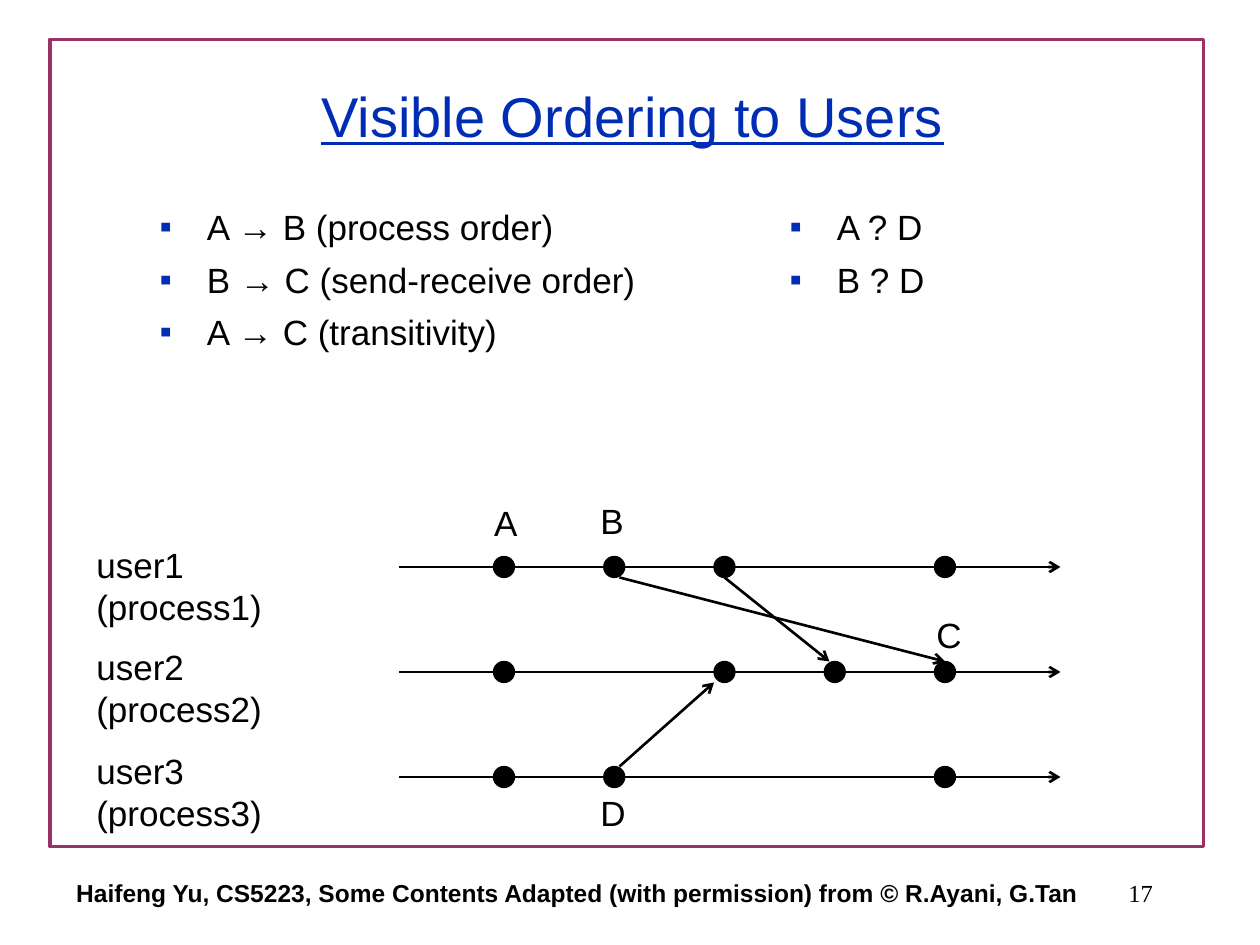
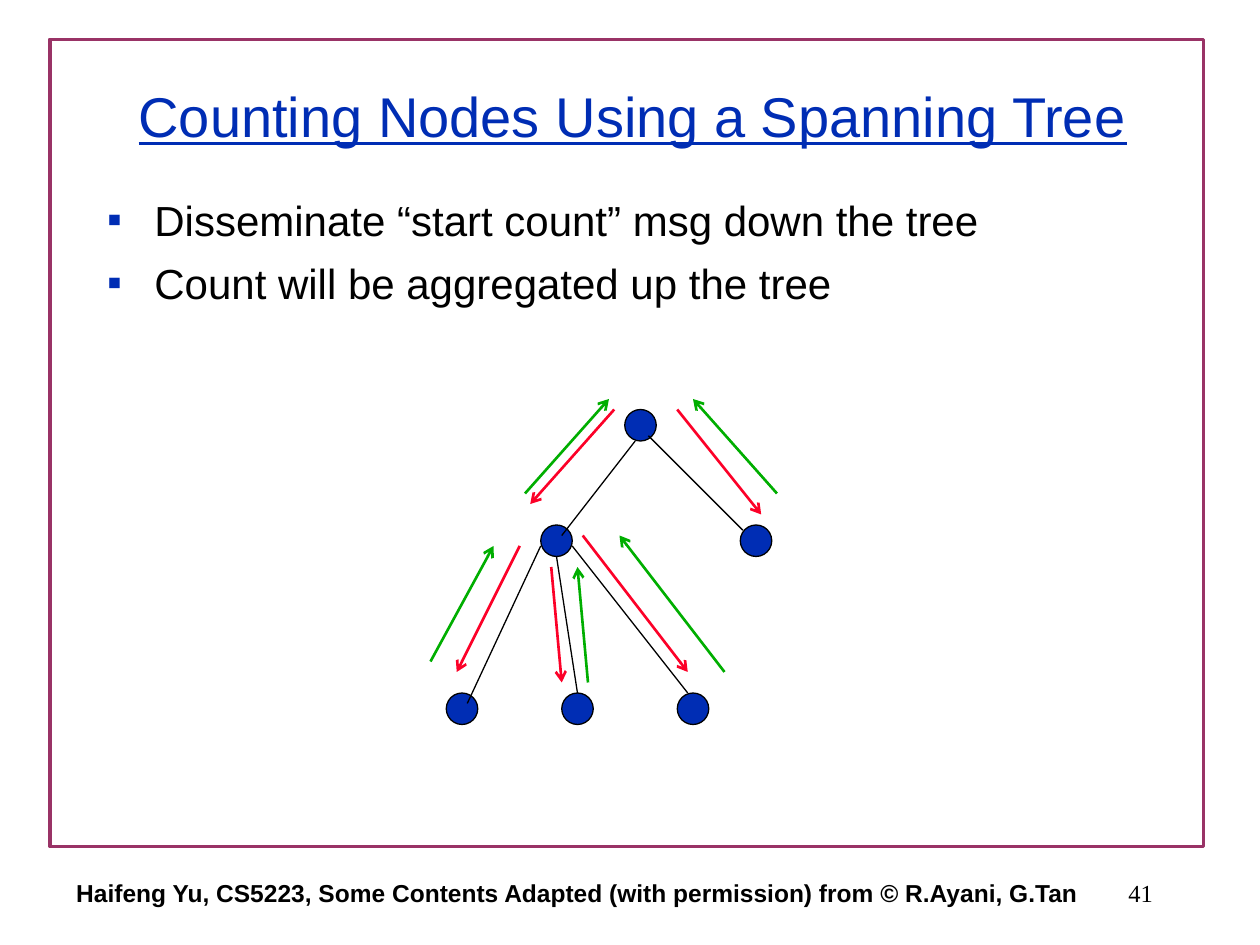
"""Builds two lecture slides on event ordering and tree counting."""
from lxml.etree import SubElement
from pptx import Presentation
from pptx.dml.color import RGBColor
from pptx.enum.shapes import MSO_CONNECTOR, MSO_SHAPE
from pptx.enum.text import MSO_ANCHOR, MSO_AUTO_SIZE, PP_ALIGN
from pptx.oxml.ns import qn
from pptx.util import Emu, Pt

BLACK, BLUE, PLUM = "000000", "002DB4", "993366"
RED, GREEN = "FC0128", "00AE00"
ARIAL, TIMES = "Arial", "Times New Roman"
CREDIT = "Haifeng Yu, CS5223, Some Contents Adapted (with permission) from © R.Ayani, G.Tan"


def px(num):
    return Emu(num * 9525)


def hue(code):
    return RGBColor.from_string(code)


class Deck:
    def __init__(self):
        self.file = Presentation()
        self.file.slide_width, self.file.slide_height = px(960), px(720)
        self.slide = None

    def start(self, layout, title, page):
        self.slide = self.file.slides.add_slide(self.file.slide_layouts[layout])
        self.frame()
        self.label(str(page), (688, 656, 200, 48), 14, TIMES, PP_ALIGN.RIGHT)
        self.label(CREDIT, (32, 656, 816, 48), 14, ARIAL, PP_ALIGN.CENTER, bold=True)
        text = self.place(self.slide.shapes.title, (74, 44, 816, 88))
        text.vertical_anchor = MSO_ANCHOR.MIDDLE
        para = text.paragraphs[0]
        para.alignment = PP_ALIGN.CENTER
        self.run(para, title, 32, color=BLUE).underline = True

    def frame(self):
        box = self.slide.shapes.add_shape(
            MSO_SHAPE.RECTANGLE, *map(px, (38, 30, 879, 615)))
        box.shadow.inherit = False
        box.fill.background()
        box.line.color.rgb, box.line.width = hue(PLUM), Pt(2)

    def place(self, shape, area):
        shape.left, shape.top, shape.width, shape.height = map(px, area)
        text = shape.text_frame
        text.auto_size = MSO_AUTO_SIZE.NONE
        text.word_wrap = True
        return text

    def run(self, para, words, size, font=ARIAL, color=BLACK):
        run = para.add_run()
        run.text = words
        run.font.size, run.font.name = Pt(size), font
        run.font.color.rgb = hue(color)
        return run.font

    def space(self, para):
        props = para._p.get_or_add_pPr()
        gap = SubElement(props, qn("a:spcBef"))
        SubElement(gap, qn("a:spcPct"), val="30000")
        return props

    def label(self, words, area, size, font, align, bold=False):
        text = self.place(self.slide.shapes.add_textbox(0, 0, 0, 0), area)
        text.word_wrap = False
        text.vertical_anchor = MSO_ANCHOR.MIDDLE
        para = text.paragraphs[0]
        para.alignment = align
        self.run(para, words, size, font).bold = bold

    def note(self, words, left, top, width=38):
        box = self.slide.shapes.add_textbox(0, 0, 0, 0)
        text = self.place(box, (left, top, width, 41))
        para = text.paragraphs[0]
        self.space(para)
        self.run(para, words, 20)

    def list(self, slot, items, area, size):
        text = self.place(self.slide.placeholders[slot], area)
        for num, item in enumerate(items):
            para = text.add_paragraph() if num else text.paragraphs[0]
            props = self.space(para)
            props.set("marL", str(px(36)))
            props.set("indent", str(px(-36)))
            tint = SubElement(props, qn("a:buClr"))
            SubElement(tint, qn("a:srgbClr"), val=BLUE)
            SubElement(props, qn("a:buFont"), typeface=ARIAL)
            SubElement(props, qn("a:buChar"), char="▪")
            self.run(para, item, size)

    def dot(self, x, y, size, color):
        half = size // 2
        dot = self.slide.shapes.add_shape(
            MSO_SHAPE.OVAL, *map(px, (x - half, y - half, size, size)))
        dot.shadow.inherit = False
        dot.fill.solid()
        dot.fill.fore_color.rgb = hue(color)
        dot.line.color.rgb, dot.line.width = hue(BLACK), Pt(0.75)

    def line(self, ends, color=BLACK, width=1.5, arrow=True, host=None):
        shapes = (host or self.slide).shapes
        line = shapes.add_connector(MSO_CONNECTOR.STRAIGHT, *map(px, ends))
        line.line.color.rgb, line.line.width = hue(color), Pt(width)
        if arrow:
            SubElement(line.line._get_or_add_ln(), qn("a:tailEnd"), type="arrow")
        SubElement(line._element.spPr, qn("a:effectLst"))

    def group(self, lines, color):
        host = self.slide.shapes.add_group_shape()
        for ends in lines:
            self.line(ends, color, host=host)


def order(deck):
    deck.start(3, "Visible Ordering to Users", 17)
    deck.list(1, ["A → B (process order)", "B → C (send-receive order)",
                  "A → C (transitivity)"], (112, 152, 400, 136), 20)
    deck.list(2, ["A ? D", "B ? D"], (592, 152, 304, 136), 20)
    users = [(409, (0, 1, 2, 4)), (487, (0, 2, 3, 4)), (566, (0, 1, 4))]
    for num, (top, steps) in enumerate(users):
        y = 432 + 80 * num
        for step in steps:
            deck.dot(384 + 84 * step, y, 16, BLACK)
        deck.line((304, y, 808, y))
        deck.note(f"user{num + 1} (process{num + 1})", 64, top, 210)
    for ends in [(472, 440, 720, 504), (552, 440, 632, 504), (472, 584, 544, 520)]:
        deck.line(ends)
    for event in [("A", 367, 377), ("B", 448, 376), ("C", 704, 463), ("D", 448, 598)]:
        deck.note(*event)


def count(deck):
    deck.start(1, "Counting Nodes Using a Spanning Tree", 41)
    deck.list(1, ["Disseminate “start count” msg down the tree",
                  "Count will be aggregated up the tree"], (72, 143, 816, 121), 24)
    nodes = [(488, 324), (424, 412), (576, 412), (352, 540), (440, 540), (528, 540)]
    for node in nodes:
        deck.dot(*node, 24, BLUE)
    edges = [(424, 424, 440, 528), (494, 332, 566, 404), (484, 336, 428, 408),
             (436, 416, 524, 528), (412, 416, 356, 536)]
    for ends in edges:
        deck.line(ends, width=0.75, arrow=False)
    down = [(468, 312, 404, 384), (516, 312, 580, 392), (396, 416, 348, 512),
            (420, 432, 428, 520), (444, 408, 524, 512)]
    up = [(328, 504, 376, 416), (552, 512, 472, 408), (448, 520, 440, 432),
          (400, 376, 464, 304), (592, 376, 528, 304)]
    deck.group(down, RED)
    deck.group(up, GREEN)


def main():
    deck = Deck()
    order(deck)
    count(deck)
    deck.file.save("out.pptx")


if __name__ == "__main__":
    main()
